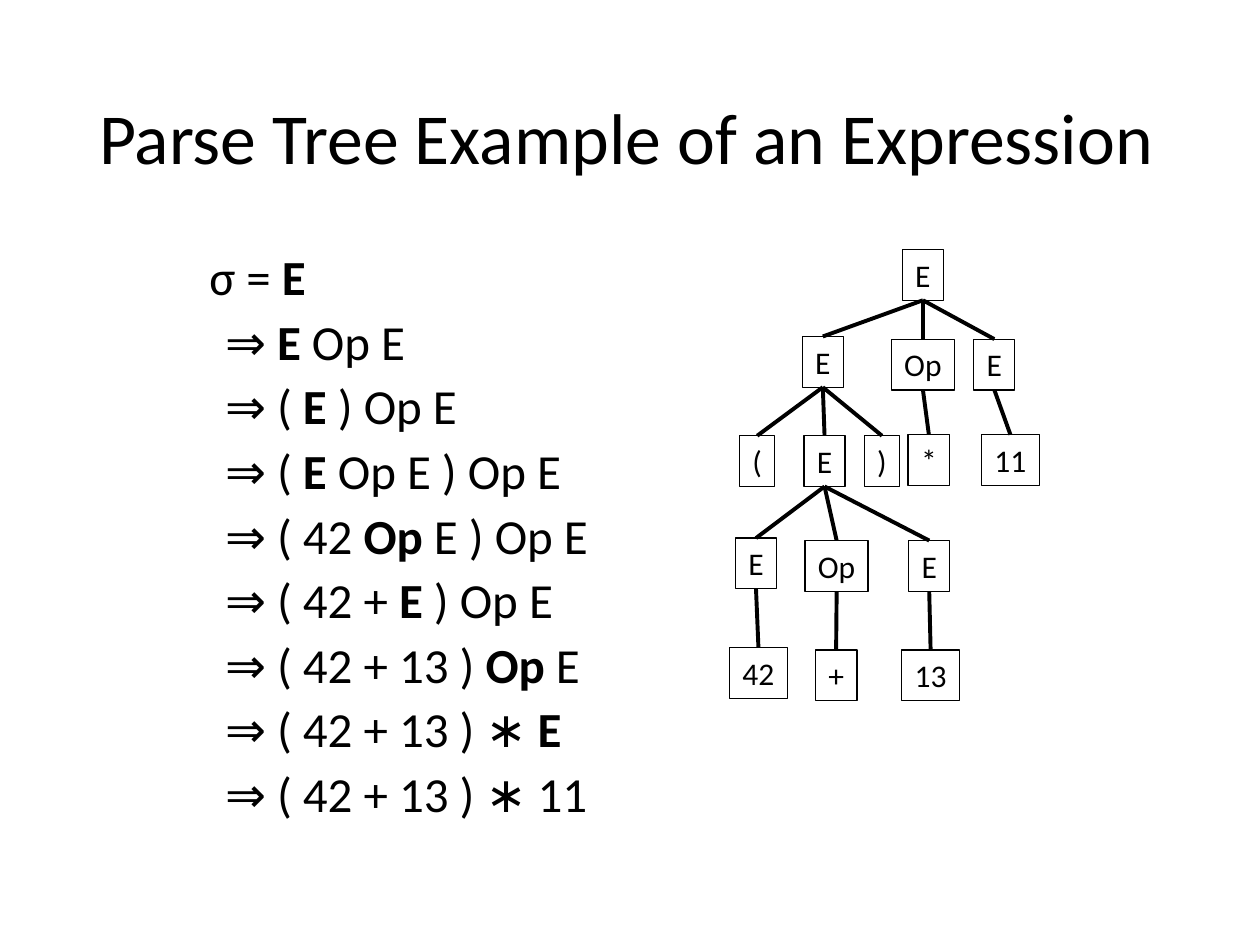
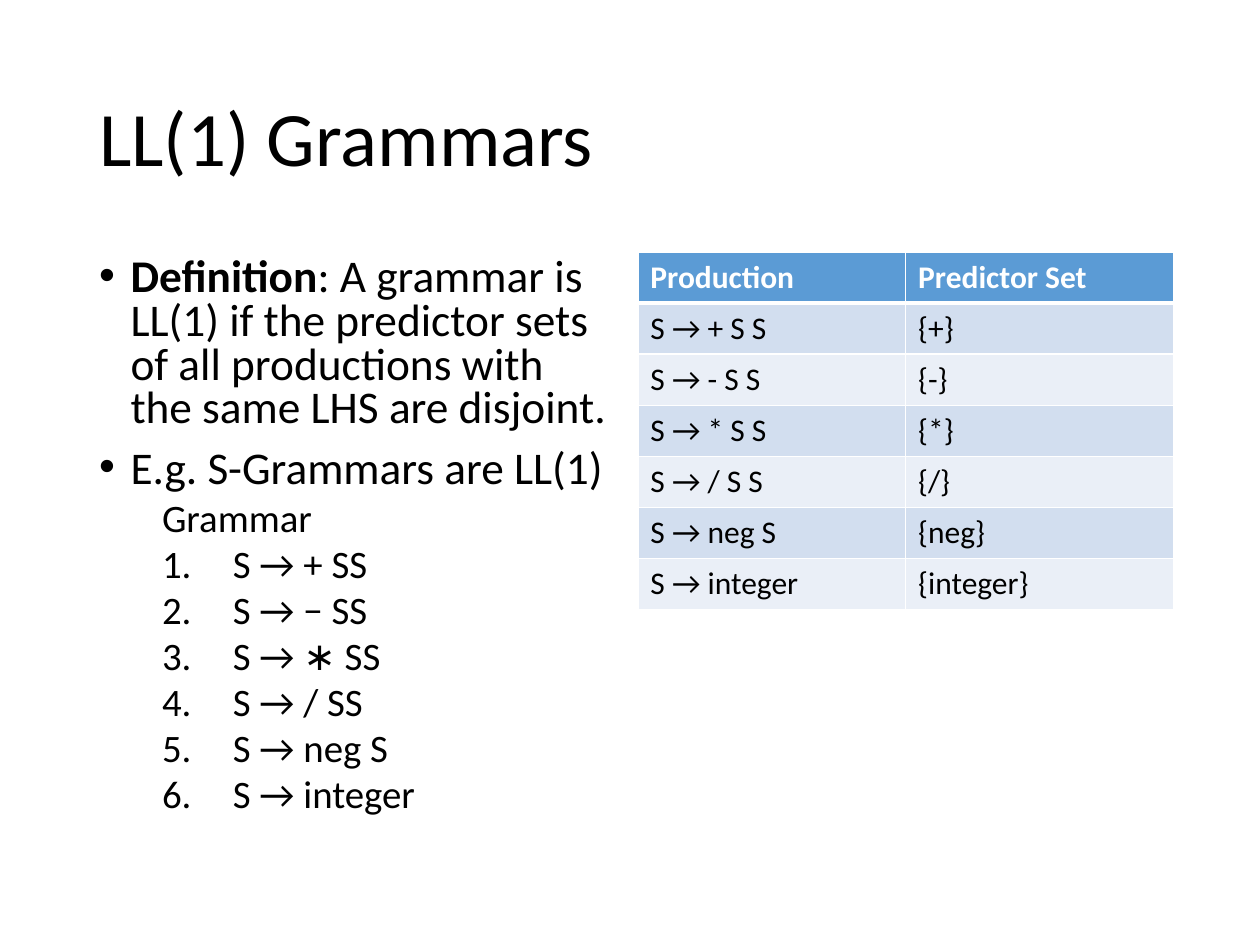
import lxml.etree
import pptx
import pptx.dml.color
import pptx.enum.shapes
import pptx.enum.text
import pptx.oxml.ns
import pptx.util

Pt = pptx.util.Pt
COLORS = {
    "text": "000000",
    "white": "FFFFFF",
    "header": "5B9BD5",
    "odd_row": "D2DEEF",
    "even_row": "EAEFF7",
}
TOP_SITE, BOTTOM_SITE = 0, 2


def color(name):
    return pptx.dml.color.RGBColor.from_string(COLORS[name])


def add_xml(parent, tag, **attributes):
    return lxml.etree.SubElement(parent, pptx.oxml.ns.qn(tag), attributes)


class Deck:
    font_name = "Calibri"
    margin = 49.5
    content_top = 144
    column_width = 306
    node_height = 29

    def __init__(self):
        self.presentation = pptx.Presentation()
        self.presentation.slide_width = Pt(720)
        self.presentation.slide_height = Pt(540)
        self.slide = None

    def format_font(self, paragraph, size, color_name="text", bold=None):
        paragraph.font.name = self.font_name
        paragraph.font.size = Pt(size)
        paragraph.font.color.rgb = color(color_name)
        paragraph.font.bold = bold

    def new_slide(self, title, size):
        self.slide = self.presentation.slides.add_slide(self.presentation.slide_layouts[5])
        shape = self.slide.shapes.title
        shape.left, shape.top = Pt(self.margin), Pt(28.75)
        shape.width, shape.height = Pt(621), Pt(104.4)
        shape.text_frame.text = title
        shape.text_frame.auto_size = pptx.enum.text.MSO_AUTO_SIZE.NONE
        shape.text_frame.vertical_anchor = pptx.enum.text.MSO_ANCHOR.MIDDLE
        paragraph = shape.text_frame.paragraphs[0]
        paragraph.alignment = pptx.enum.text.PP_ALIGN.LEFT
        paragraph.line_spacing = 0.9
        self.format_font(paragraph, size)

    def body(self):
        shape = self.slide.shapes.add_textbox(
            Pt(self.margin), Pt(self.content_top), Pt(self.column_width), Pt(342.6))
        shape.text_frame.word_wrap = True
        return shape.text_frame

    def paragraph(self, frame, text, size, space_before=10, left=0, hanging=0, bullet=None):
        paragraph = frame.paragraphs[0]
        if paragraph.runs:
            paragraph = frame.add_paragraph()
        for index, part in enumerate(text.split("|")):
            if part:
                run = paragraph.add_run()
                run.text = part
                if index % 2:
                    run.font.bold = True
        paragraph.line_spacing = 0.8
        paragraph.space_before = Pt(space_before)
        properties = paragraph._p.get_or_add_pPr()
        properties.set("marL", str(Pt(left)))
        properties.set("indent", str(-Pt(hanging)))
        if bullet == "number":
            add_xml(properties, "a:buAutoNum", type="arabicPeriod")
        elif bullet:
            add_xml(properties, "a:buFont", typeface="Arial")
            add_xml(properties, "a:buChar", char=bullet)
        self.format_font(paragraph, size)

    def node(self, text, center, top, width):
        shape = self.slide.shapes.add_textbox(
            Pt(center - width / 2), Pt(top), Pt(width), Pt(self.node_height))
        shape.line.color.rgb = color("text")
        shape.line.width = Pt(0.75)
        frame = shape.text_frame
        frame.word_wrap = False
        frame.text = text
        frame.paragraphs[0].alignment = pptx.enum.text.PP_ALIGN.CENTER
        self.format_font(frame.paragraphs[0], 18)
        return shape

    def branch(self, parent, child):
        connector = self.slide.shapes.add_connector(
            pptx.enum.shapes.MSO_CONNECTOR.STRAIGHT, 0, 0, 0, 0)
        connector.begin_connect(parent, BOTTOM_SITE)
        connector.end_connect(child, TOP_SITE)
        connector.line.color.rgb = color("text")
        connector.line.width = Pt(2.25)
        add_xml(connector._element.spPr, "a:effectLst")

    def cell(self, cell, text, fill, text_color, bold, bottom_border):
        cell.text = text
        self.format_font(cell.text_frame.paragraphs[0], 18, text_color, bold)
        properties = cell._tc.get_or_add_tcPr()
        for side, width in (("L", 1), ("R", 1), ("T", 1), ("B", bottom_border)):
            line = add_xml(properties, "a:ln" + side, w=str(Pt(width)))
            add_xml(add_xml(line, "a:solidFill"), "a:srgbClr", val=COLORS["white"])
        cell.fill.solid()
        cell.fill.fore_color.rgb = color(fill)

    def table(self, rows, left, row_height):
        table = self.slide.shapes.add_table(
            len(rows), len(rows[0]), Pt(left), Pt(self.content_top),
            Pt(self.column_width), Pt(row_height * len(rows))).table
        for row_index, row in enumerate(rows):
            header = row_index == 0
            fill = "header" if header else "odd_row" if row_index % 2 else "even_row"
            for column_index, text in enumerate(row):
                self.cell(table.cell(row_index, column_index), text, fill,
                          "white" if header else "text", header, 3 if header else 1)


deck = Deck()

deck.new_slide("Parse Tree Example of an Expression", 41)
derivation = deck.body()
deck.paragraph(derivation, "σ = |E|", 28, left=63)
for step in (
    "|E| Op E",
    "( |E| ) Op E",
    "( |E| Op E ) Op E",
    "( 42 |Op| E ) Op E",
    "( 42 + |E| ) Op E",
    "( 42 + 13 ) |Op| E",
    "( 42 + 13 ) ∗ |E|",
    "( 42 + 13 ) ∗ 11",
):
    deck.paragraph(derivation, "⇒ " + step, 28, left=72)

NODE_WIDTHS = {"E": 23.4, "Op": 36, "(": 20, ")": 20, "*": 23.8, "+": 23.8}
NUMBER_WIDTH = 33
parse_tree = (
    ("root", None, "E", 527.4, 142.6),
    ("left", "root", "E", 470.2, 192.3),
    ("times", "root", "Op", 527.4, 193.8),
    ("right", "root", "E", 568.2, 193.8),
    ("open", "left", "(", 432.7, 249),
    ("sum", "left", "E", 471.2, 249),
    ("close", "left", ")", 504, 249),
    ("star", "times", "*", 530.8, 248.4),
    ("eleven", "right", "11", 577.4, 248.4),
    ("first", "sum", "E", 432, 307.5),
    ("plus", "sum", "Op", 478.1, 308.9),
    ("second", "sum", "E", 531, 308.9),
    ("forty_two", "first", "42", 433.4, 370),
    ("plus_sign", "plus", "+", 477.8, 371.5),
    ("thirteen", "second", "13", 531.8, 371.5),
)
nodes = {}
for name, parent, text, center, top in parse_tree:
    nodes[name] = deck.node(text, center, top, NODE_WIDTHS.get(text, NUMBER_WIDTH))
    if parent:
        deck.branch(nodes[parent], nodes[name])

deck.new_slide("LL(1) Grammars", 44)
definition = deck.body()
for text in (
    "|Definition|: A grammar is LL(1) if the predictor sets of all productions "
    "with the same LHS are disjoint.",
    "E.g. S-Grammars are LL(1)",
):
    deck.paragraph(definition, text, 25.9, left=18, hanging=18, bullet="•")
deck.paragraph(definition, "Grammar", 22.2, space_before=5, left=36)
for production in ("+ SS", "− SS", "∗ SS", "/ SS", "neg S", "integer"):
    deck.paragraph(definition, "S → " + production, 22.2, space_before=5,
                   left=76.5, hanging=40.5, bullet="number")

predictors = [("Production", "Predictor Set")]
for symbol, operands in (("+", " S S"), ("-", " S S"), ("*", " S S"),
                         ("/", " S S"), ("neg", " S"), ("integer", "")):
    predictors.append((f"S → {symbol}{operands}", f"{{{symbol}}}"))
deck.table(predictors, left=364.5, row_height=29.2)

deck.presentation.save("out.pptx")
